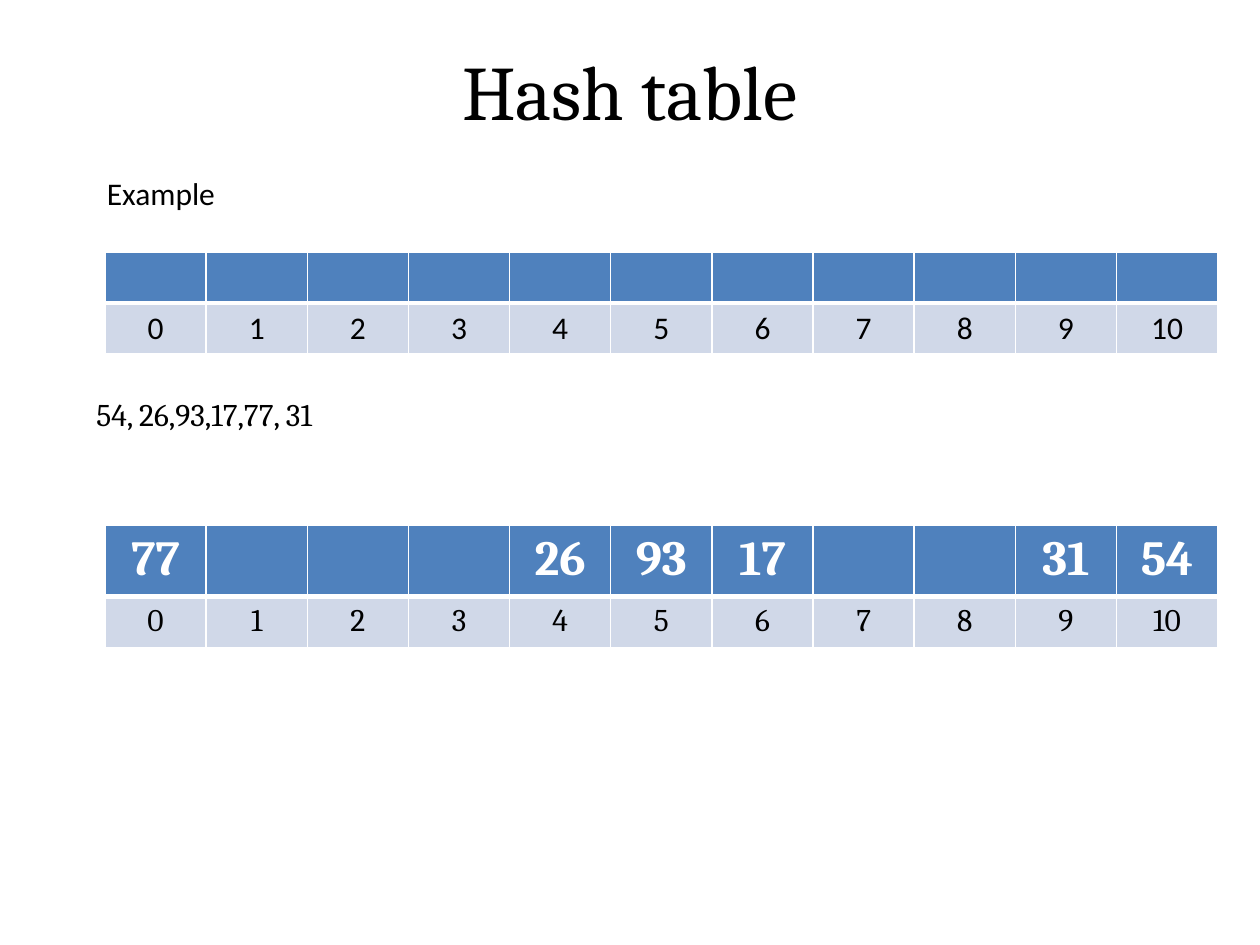
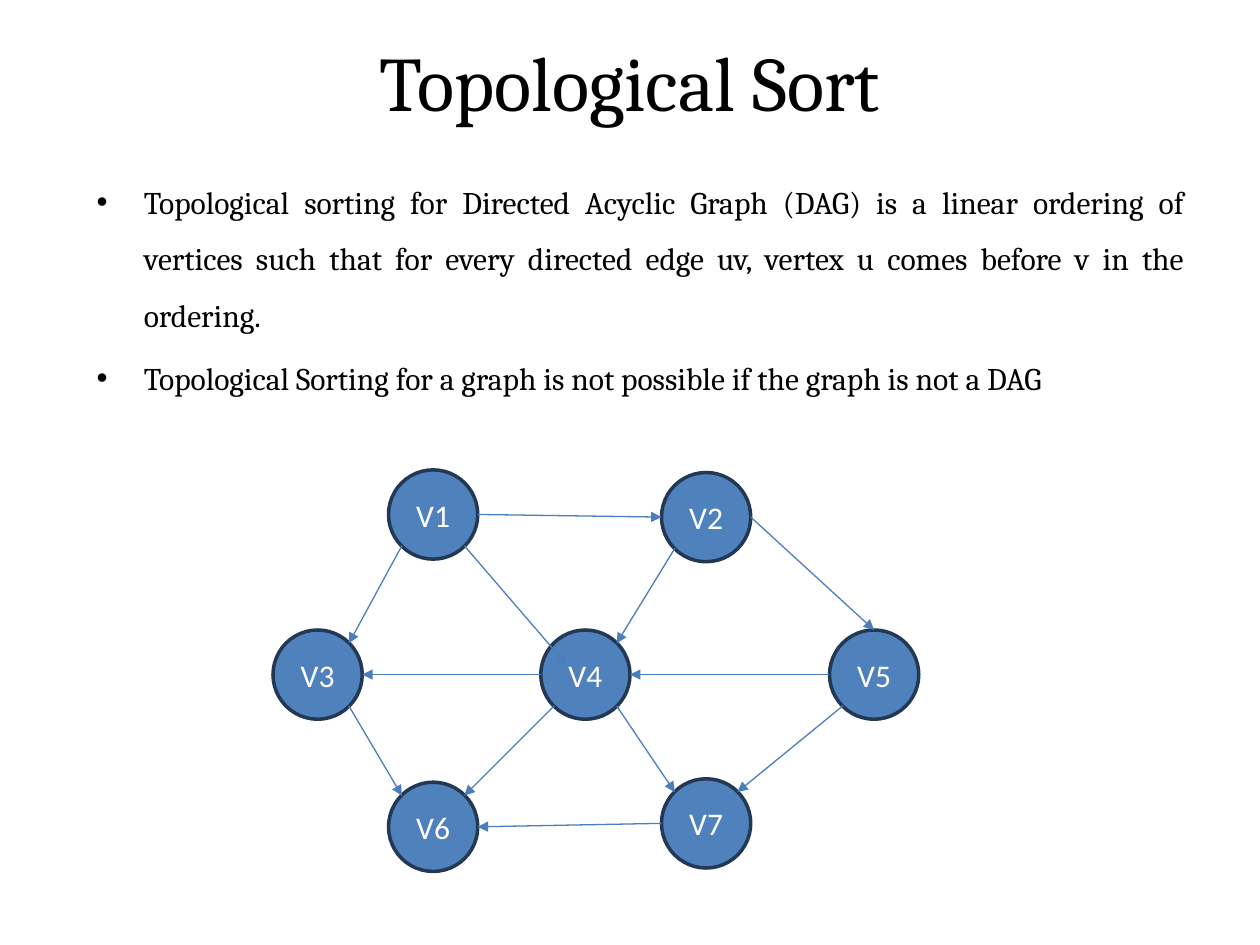
from lxml import etree
from pptx import Presentation
from pptx.dml.color import RGBColor
from pptx.enum.shapes import MSO_CONNECTOR as Line, MSO_SHAPE as Shape
from pptx.enum.text import MSO_ANCHOR as Anchor, PP_ALIGN as Align
from pptx.oxml.ns import qn
from pptx.util import Pt

SERIF, SANS = "Cambria", "Calibri"
BLACK, WHITE = "000000", "FFFFFF"
BLUE, PALE, NAVY, EDGE = "4F81BD", "D0D8E8", "233953", "4B7EBC"
TITLE_ONLY, TITLE_AND_BODY = 5, 1

# Fractions of a circle's box where edges may attach
NEAR, FAR = 0.15, 0.85
SITES = {
    "top": (0.5, 0), "left": (0, 0.5), "right": (1, 0.5),
    "top left": (NEAR, NEAR), "top right": (FAR, NEAR),
    "bottom left": (NEAR, FAR), "bottom right": (FAR, FAR),
    "inside": (0.3, 0.4),
}


# Shared helpers
def color(value):
    return RGBColor.from_string(value)


def add_span(para, text, size=18, face=SERIF, ink=BLACK, bold=False):
    span = para.add_run()
    span.text = text
    font = span.font
    font.size, font.name, font.bold = Pt(size), face, bold
    font.color.rgb = color(ink)


def place(box, left, top, width, height):
    box.left, box.top, box.width, box.height = map(Pt, (left, top, width, height))


def add_page(deck, layout, title, top, spacing=1.0):
    page = deck.slides.add_slide(deck.slide_layouts[layout])
    place(page.shapes.title, 36, top, 648, 90)
    frame = page.shapes.title.text_frame
    frame.vertical_anchor = Anchor.MIDDLE
    para = frame.paragraphs[0]
    para.alignment, para.line_spacing = Align.CENTER, spacing
    add_span(para, title, size=44)
    return page


def add_label(page, text, left, top, width, face, wrap=True):
    box = page.shapes.add_textbox(Pt(left), Pt(top), Pt(width), Pt(29))
    box.text_frame.word_wrap = wrap
    add_span(box.text_frame.paragraphs[0], text, face=face)


# Hash table region
def set_borders(cell, **widths):
    props = cell._tc.get_or_add_tcPr()
    for index, side in enumerate("LRTB"):
        line = etree.Element(qn(f"a:ln{side}"), w=str(Pt(widths.get(side, 1))))
        fill = etree.SubElement(line, qn("a:solidFill"))
        etree.SubElement(fill, qn("a:srgbClr"), val=WHITE)
        props.insert(index, line)


def add_slots(page, left, top, stored, slot_height, face, slots=11):
    index_height = 29.2
    table = page.shapes.add_table(2, slots, Pt(left), Pt(top), Pt(636),
                                  Pt(slot_height + index_height)).table
    table.first_row = table.horz_banding = False
    table.rows[0].height, table.rows[1].height = Pt(slot_height), Pt(index_height)
    for slot in range(slots):
        value, index = table.cell(0, slot), table.cell(1, slot)
        for cell, back in ((value, BLUE), (index, PALE)):
            cell.fill.solid()
            cell.fill.fore_color.rgb = color(back)
            cell.text_frame.paragraphs[0].alignment = Align.CENTER
        set_borders(value, B=3)
        set_borders(index, T=3)
        if slot in stored:
            add_span(value.text_frame.paragraphs[0], str(stored[slot]),
                     size=28, face=face, ink=WHITE, bold=True)
        add_span(index.text_frame.paragraphs[0], str(slot), face=face)


def hash_slide(deck):
    page = add_page(deck, TITLE_ONLY, "Hash table", 6)
    add_label(page, "Example", 54, 96, 81, SANS, wrap=False)
    add_label(page, "54, 26,93,17,77, 31", 48, 222, 516, SERIF)
    keys = (54, 26, 93, 17, 77, 31)
    add_slots(page, 60, 144, {}, 29.2, SANS)
    add_slots(page, 60, 300, {key % 11: key for key in keys}, 40.6, SERIF)


# Graph region
def add_vertex(page, name, left, top, size):
    circle = page.shapes.add_shape(Shape.OVAL, Pt(left), Pt(top), Pt(size), Pt(size))
    circle.shadow.inherit = False
    circle.fill.solid()
    circle.fill.fore_color.rgb = color(BLUE)
    circle.line.color.rgb, circle.line.width = color(NAVY), Pt(2)
    frame = circle.text_frame
    frame.vertical_anchor = Anchor.MIDDLE
    frame.margin_left = frame.margin_right = 0
    frame.paragraphs[0].alignment = Align.CENTER
    add_span(frame.paragraphs[0], name, face=SANS, ink=WHITE)
    return circle


def site_point(circle, site):
    across, down = SITES[site]
    return (int(circle.left + across * circle.width),
            int(circle.top + down * circle.height))


def add_edge(page, start, end):
    edge = page.shapes.add_connector(Line.STRAIGHT, *start, *end)
    edge.line.color.rgb, edge.line.width = color(EDGE), Pt(0.75)
    etree.SubElement(edge.line._get_or_add_ln(), qn("a:tailEnd"), type="triangle")
    etree.SubElement(edge._element.spPr, qn("a:effectLst"))


def add_graph(page, left, top, size=51):
    spots = {
        "V1": (66, 0), "V2": (222, 1.5),
        "V3": (0, 91.5), "V4": (153, 91.5), "V5": (318, 91.5),
        "V6": (66, 178.5), "V7": (222, 176.5),
    }
    edges = (
        ("V1", "bottom left", "V3", "top right"),
        ("V1", "right", "V2", "left"),
        ("V1", "bottom right", "V4", "inside"),
        ("V2", "right", "V5", "top"),
        ("V2", "bottom left", "V4", "top right"),
        ("V3", "bottom right", "V6", "top left"),
        ("V4", "left", "V3", "right"),
        ("V5", "left", "V4", "right"),
        ("V4", "bottom left", "V6", "top right"),
        ("V4", "bottom right", "V7", "top left"),
        ("V5", "bottom left", "V7", "top right"),
        ("V7", "left", "V6", "right"),
    )
    circles = {name: add_vertex(page, name, left + x, top + y, size)
               for name, (x, y) in spots.items()}
    for source, exit_site, target, entry_site in edges:
        add_edge(page, site_point(circles[source], exit_site),
                 site_point(circles[target], entry_site))


def sort_slide(deck):
    page = add_page(deck, TITLE_AND_BODY, "Topological Sort", -12, spacing=1.5)
    body = page.placeholders[1]
    place(body, 48, 90, 636, 450)
    points = (
        "Topological sorting for Directed Acyclic Graph (DAG) is a linear ordering of "
        "vertices such that for every directed edge uv, vertex u comes before v in the "
        "ordering.",
        "Topological Sorting for a graph is not possible if the graph is not a DAG",
    )
    frame = body.text_frame
    for number, point in enumerate(points):
        para = frame.add_paragraph() if number else frame.paragraphs[0]
        para.alignment, para.line_spacing = Align.JUSTIFY, 1.5
        para.space_before = Pt(3.6 if number else 0)
        add_span(para, point)
    add_graph(page, 156, 268.5)


def main():
    deck = Presentation()
    deck.slide_width, deck.slide_height = Pt(720), Pt(540)
    hash_slide(deck)
    sort_slide(deck)
    deck.save("out.pptx")


if __name__ == "__main__":
    main()
